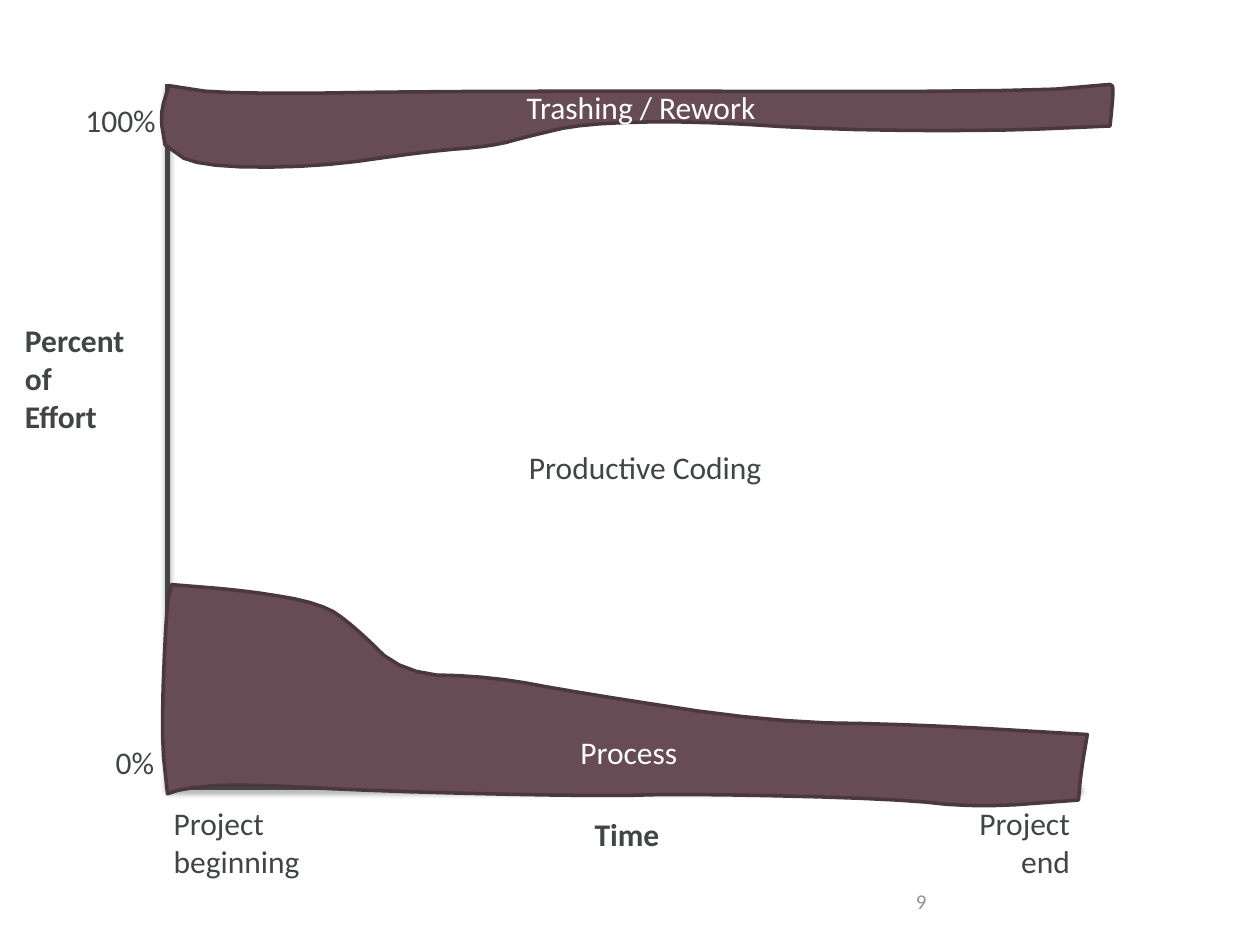
"""Build a slide showing how project effort divides over time."""
import itertools

import lxml.etree
import pptx
import pptx.dml.color
import pptx.enum.shapes
import pptx.enum.text
import pptx.oxml.ns
import pptx.util
from pptx.util import Inches

INK, MUTED, PLUM, EDGE, WHITE = "424545", "919292", "674C56", "4B373E", "FFFFFF"
ALIGN = pptx.enum.text.PP_ALIGN
ANCHOR = pptx.enum.text.MSO_ANCHOR
AXIS_LEFT, AXIS_RIGHT, AXIS_TOP, AXIS_BOTTOM = 1.33, 8.58, 0.67, 6.25
INSET, LINE_HEIGHT = 0.05, 0.3
ONE_LINE, TWO_LINES, THREE_LINES = (2 * INSET + LINE_HEIGHT * count for count in (1, 2, 3))
SMOOTHING_PASSES = 2


def color(value):
    return pptx.dml.color.RGBColor.from_string(value)


def write(box, text, size=18, ink=INK, bold=False, align=ALIGN.LEFT, anchor=ANCHOR.TOP):
    frame = box.text_frame
    frame.word_wrap = True
    frame.vertical_anchor = anchor
    for index, line in enumerate(text.split("\n")):
        para = frame.paragraphs[0] if index == 0 else frame.add_paragraph()
        para.alignment = align
        span = para.add_run()
        span.text = line
        span.font.name = "Calibri"
        span.font.size = pptx.util.Pt(size)
        span.font.bold = bold
        span.font.color.rgb = color(ink)


deck = pptx.Presentation()
deck.slide_width, deck.slide_height = Inches(10), Inches(7.5)
page = deck.slides.add_slide(deck.slide_layouts[6])

origin = (AXIS_LEFT, AXIS_BOTTOM)
effort_end = (AXIS_LEFT, AXIS_TOP)
time_end = (AXIS_RIGHT, AXIS_BOTTOM)
shadow_tree = [
    ("a:effectLst", {}),
    ("a:outerShdw", {
        "blurRad": str(pptx.util.Pt(3.1)), "dist": str(pptx.util.Pt(1.8)), "dir": "5400000"}),
    ("a:srgbClr", {"val": "000000"}),
    ("a:alpha", {"val": "35000"}),
]
for axis_end in (effort_end, time_end):
    axis = page.shapes.add_connector(
        pptx.enum.shapes.MSO_CONNECTOR.STRAIGHT, *map(Inches, axis_end + origin))
    axis.line.color.rgb = color(INK)
    axis.line.width = pptx.util.Pt(3)
    node = axis._element.spPr
    for tag, attributes in shadow_tree:
        node = lxml.etree.SubElement(node, pptx.oxml.ns.qn(tag), attributes)

labels = [
    ("9", 7.17, 6.95, 2.33, ONE_LINE, {"size": 12, "ink": MUTED, "anchor": ANCHOR.MIDDLE}),
    ("Percent\nof\nEffort", 0.1, 2.5, 1, THREE_LINES, {"bold": True}),
    ("Time", 4.62, 6.42, 0.72, ONE_LINE, {"bold": True}),
    ("Project\nbeginning", 1.28, 6.33, 1.22, TWO_LINES, {}),
    ("Project\nend", 7.66, 6.33, 0.93, TWO_LINES, {"align": ALIGN.RIGHT}),
    ("100%", 0.58, 0.75, 0.77, ONE_LINE, {}),
    ("0%", 0.82, 5.85, 0.51, ONE_LINE, {}),
    ("Productive Coding", 4.1, 3.51, 2.07, ONE_LINE, {}),
]
for text, left, top, width, height, style in labels:
    write(page.shapes.add_textbox(*map(Inches, (left, top, width, height))), text, **style)

process_edges = {
    "top": [(1.36, 4.64), (1.98, 4.69), (2.55, 4.79), (2.8, 4.96), (3.2, 5.35),
            (3.9, 5.37), (4.6, 5.5), (6.11, 5.73), (7.28, 5.75), (8.63, 5.83)],
    "right": [(8.63, 5.83), (8.58, 6.13), (8.56, 6.35)],
    "bottom": [(8.56, 6.35), (7.76, 6.41), (7.1, 6.34), (5.5, 6.3), (4.7, 6.32),
               (3, 6.28), (1.87, 6.22), (1.45, 6.26), (1.33, 6.3)],
    "left": [(1.33, 6.3), (1.28, 5.84), (1.32, 4.83), (1.36, 4.64)],
}
rework_edges = {
    "top": [(1.34, 0.68), (1.8, 0.75), (3.81, 0.72), (8.11, 0.73), (8.81, 0.67)],
    "right": [(8.81, 0.67), (8.84, 0.69), (8.81, 1)],
    "bottom": [(8.81, 1), (7.88, 1.04), (6.6, 1.03), (5.5, 0.96), (4.63, 0.98),
               (4.2, 1.08), (3.91, 1.16), (3.4, 1.2), (2.49, 1.33), (1.55, 1.32),
               (1.31, 1.15)],
    "left": [(1.31, 1.15), (1.27, 0.91), (1.34, 0.68)],
}
bands = [
    ("Process", process_edges, 3 * LINE_HEIGHT, 0),
    ("Trashing / Rework", rework_edges, 0, LINE_HEIGHT),
]
for text, edges, space_above, space_below in bands:
    outline = []
    for edge in edges.values():
        for _ in range(SMOOTHING_PASSES):
            curve = [edge[0]]
            for (x1, y1), (x2, y2) in itertools.pairwise(edge):
                for share in (0.25, 0.75):
                    curve.append((x1 + share * (x2 - x1), y1 + share * (y2 - y1)))
            edge = curve + [edge[-1]]
        outline += edge[:-1]
    corners = [(Inches(x), Inches(y)) for x, y in outline]
    builder = page.shapes.build_freeform(*corners[0])
    builder.add_line_segments(corners[1:], close=True)
    band = builder.convert_to_shape()
    band.shadow.inherit = False
    band.fill.solid()
    band.fill.fore_color.rgb = color(PLUM)
    band.line.color.rgb = color(EDGE)
    band.line.width = pptx.util.Pt(2)
    band.text_frame.margin_left = Inches(0.16)
    band.text_frame.margin_top = Inches(INSET + space_above)
    band.text_frame.margin_bottom = Inches(INSET + space_below)
    write(band, text, ink=WHITE, align=ALIGN.CENTER, anchor=ANCHOR.MIDDLE)

deck.save("out.pptx")
